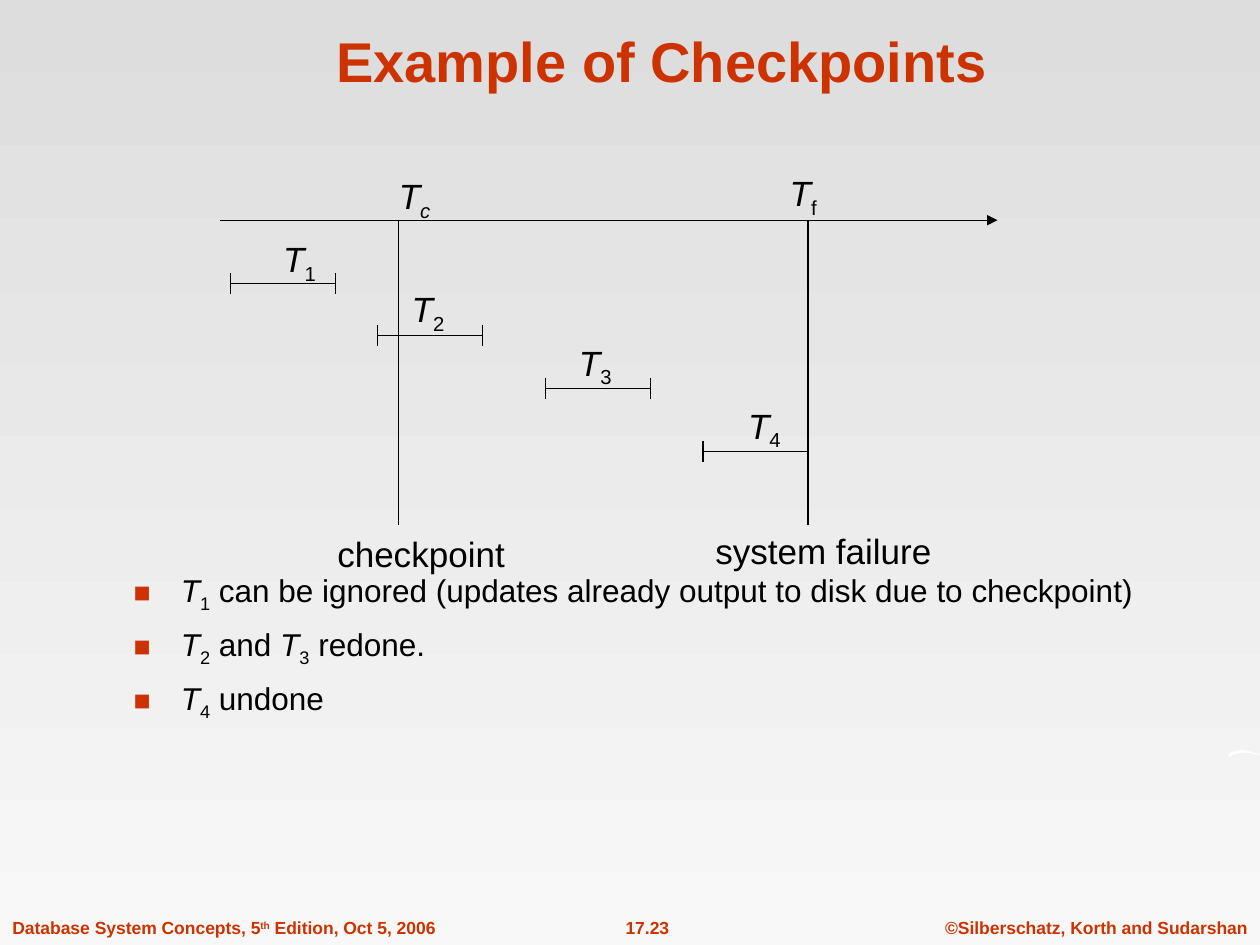
from lxml import etree
from pptx import Presentation
from pptx.dml.color import RGBColor
from pptx.enum.shapes import MSO_CONNECTOR
from pptx.enum.text import MSO_ANCHOR, MSO_AUTO_SIZE, PP_ALIGN
from pptx.oxml.ns import qn
from pptx.util import Cm, Pt

RED = RGBColor(0xCC, 0x33, 0x00)
BLACK = RGBColor(0x00, 0x00, 0x00)
WHITE = RGBColor(0xFF, 0xFF, 0xFF)
GRADIENT = (RGBColor(0xDD, 0xDD, 0xDD), RGBColor(0xF8, 0xF8, 0xF8))
STRAIGHT = MSO_CONNECTOR.STRAIGHT
LEFT, CENTER = PP_ALIGN.LEFT, PP_ALIGN.CENTER
BOTTOM, TOP = MSO_ANCHOR.BOTTOM, MSO_ANCHOR.TOP
NO_AUTOSIZE, FIT_SHAPE = MSO_AUTO_SIZE.NONE, MSO_AUTO_SIZE.SHAPE_TO_FIT_TEXT

TITLE_FORMAT = {"name": "Arial", "size": Pt(32), "bold": True}
BODY_FORMAT = {"name": "Arial", "size": Pt(18)}
LABEL_FORMAT = {"name": "Arial", "size": Pt(20)}
FOOTER_FORMAT = {"name": "Arial", "size": Pt(10), "bold": True}
SUBSCRIPT, SUPERSCRIPT = -25, 30


def plain(text):
    return text, False, 0


def symbol(index, italic_index=False):
    return [("T", True, 0), (index, italic_index, SUBSCRIPT)]


def write_runs(paragraph, runs, font_format, color):
    for text, italic, baseline in runs:
        run = paragraph.add_run()
        run.text = text
        for name, value in font_format.items():
            setattr(run.font, name, value)
        run.font.color.rgb = color
        if italic:
            run.font.italic = True
        if baseline:
            run._r.get_or_add_rPr().set("baseline", str(baseline * 1000))


def place(shape, box):
    for name, value in zip(("left", "top", "width", "height"), box):
        setattr(shape, name, Cm(value))


def add_text(slide, box, runs, font_format, color, alignment=LEFT):
    shape = slide.shapes.add_textbox(*map(Cm, box))
    shape.text_frame.word_wrap = False
    shape.text_frame.auto_size = FIT_SHAPE
    paragraph = shape.text_frame.paragraphs[0]
    paragraph.alignment = alignment
    write_runs(paragraph, runs, font_format, color)


def add_line(slide, start_x, start_y, end_x, end_y, arrow=False):
    line = slide.shapes.add_connector(
        STRAIGHT, Cm(start_x), Cm(start_y), Cm(end_x), Cm(end_y))
    line.line.color.rgb = BLACK
    line.line.width = Pt(0.75)
    if arrow:
        etree.SubElement(line.line._get_or_add_ln(), qn("a:tailEnd"), type="triangle")
    etree.SubElement(line._element.spPr, qn("a:effectLst"))


def add_background(slide):
    fill = slide.background.fill
    fill.gradient()
    fill.gradient_angle = 270
    for stop, color in zip(fill.gradient_stops, GRADIENT):
        stop.color.rgb = color


def add_footer(slide, box):
    left, top, width, height = box
    edition = [plain("Database System Concepts, 5"), ("th", False, SUPERSCRIPT),
               plain(" Edition, Oct 5, 2006")]
    parts = [
        (0, 9.07, edition, LEFT),
        (12.34, 1.42, [plain("17.23")], CENTER),
        (width - 6.6, 6.6, [plain("©Silberschatz, Korth and Sudarshan")], CENTER),
    ]
    for offset, part_width, runs, alignment in parts:
        add_text(slide, (left + offset, top, part_width, height), runs,
                 FOOTER_FORMAT, RED, alignment)


def add_edge_mark(slide, box):
    left, top, width, height = box
    outline = [(0, 1), (0.08, 0.4), (0.2, 0.2), (0.4, 0), (0.6, 0.1), (0.8, 0.4),
               (1, 0.6), (0.96, 0.8), (0.8, 0.6), (0.5, 0.4), (0.2, 0.6), (0.04, 1)]
    points = [(Cm(left + x * width), Cm(top + y * height)) for x, y in outline]
    builder = slide.shapes.build_freeform(*points[0])
    builder.add_line_segments(points[1:], close=True)
    mark = builder.convert_to_shape()
    mark.shadow.inherit = False
    mark.fill.solid()
    mark.fill.fore_color.rgb = WHITE
    mark.line.fill.background()


def fill_title(slide, box):
    title = slide.shapes.title
    place(title, box)
    title.text_frame.vertical_anchor = BOTTOM
    title.text_frame.auto_size = NO_AUTOSIZE
    paragraph = title.text_frame.paragraphs[0]
    paragraph.alignment = CENTER
    write_runs(paragraph, [plain("Example of Checkpoints")], TITLE_FORMAT, RED)


def add_bullet(paragraph):
    properties = paragraph._p.get_or_add_pPr()
    properties.set("marL", str(Cm(0.95)))
    properties.set("indent", str(Cm(-0.95)))
    color = etree.SubElement(properties, qn("a:buClr"))
    etree.SubElement(color, qn("a:srgbClr"), val=str(RED))
    etree.SubElement(properties, qn("a:buSzPct"), val="90000")
    etree.SubElement(properties, qn("a:buFont"), typeface="Arial")
    etree.SubElement(properties, qn("a:buChar"), char="■")


def fill_body(slide, box):
    body = slide.placeholders[1]
    place(body, box)
    frame = body.text_frame
    frame.vertical_anchor = TOP
    frame.auto_size = NO_AUTOSIZE
    items = [
        symbol("1") + [plain(" can be ignored (updates already output to disk due to checkpoint)")],
        symbol("2") + [plain(" and ")] + symbol("3") + [plain(" redone.")],
        symbol("4") + [plain(" undone")],
    ]
    for index, runs in enumerate(items):
        paragraph = frame.add_paragraph() if index else frame.paragraphs[0]
        paragraph.space_before = Pt(6.2 if index else 0)
        add_bullet(paragraph)
        write_runs(paragraph, runs, BODY_FORMAT, BLACK)


def add_interval(slide, left, middle, length, tick):
    right = left + length
    add_line(slide, left, middle, right, middle)
    for x in (left, right):
        add_line(slide, x, middle - tick, x, middle + tick)


def add_timeline(slide, box):
    left, top, width, height = box
    axis = top + 1.1
    add_line(slide, left, axis, left + width, axis, arrow=True)
    for event in (3.6, 11.85):
        add_line(slide, left + event, axis, left + event, top + height)

    for start, depth in ((0.21, 1.27), (3.17, 2.33), (6.56, 3.39), (9.73, 4.66)):
        add_interval(slide, left + start, axis + depth, 2.12, 0.21)

    labels = [
        (3.35, 0.06, 1.17, symbol("c", italic_index=True)),
        (11.23, 0, 1.07, symbol("f")),
        (1.02, 1.33, 1.19, symbol("1")),
        (3.61, 2.34, 1.19, symbol("2")),
        (6.98, 3.41, 1.19, symbol("3")),
        (10.39, 4.68, 1.19, symbol("4")),
        (2.11, 7.27, 3.89, [plain("checkpoint")]),
        (9.73, 7.2, 4.9, [plain("system failure")]),
    ]
    for x, y, label_width, runs in labels:
        add_text(slide, (left + x, top + y, label_width, 1.09), runs, LABEL_FORMAT, BLACK)


def main():
    presentation = Presentation()
    presentation.slide_width, presentation.slide_height = Cm(25.4), Cm(19.05)
    slide = presentation.slides.add_slide(presentation.slide_layouts[1])
    add_background(slide)
    add_footer(slide, (0, 18.37, 25.4, 0.69))
    add_edge_mark(slide, (24.76, 15.12, 0.64, 0.13))
    fill_title(slide, (2.13, 0.31, 22.43, 1.7))
    fill_body(slide, (2.44, 11.39, 22.96, 5.97))
    add_timeline(slide, (4.44, 3.34, 15.67, 7.24))
    presentation.save("out.pptx")


if __name__ == "__main__":
    main()
